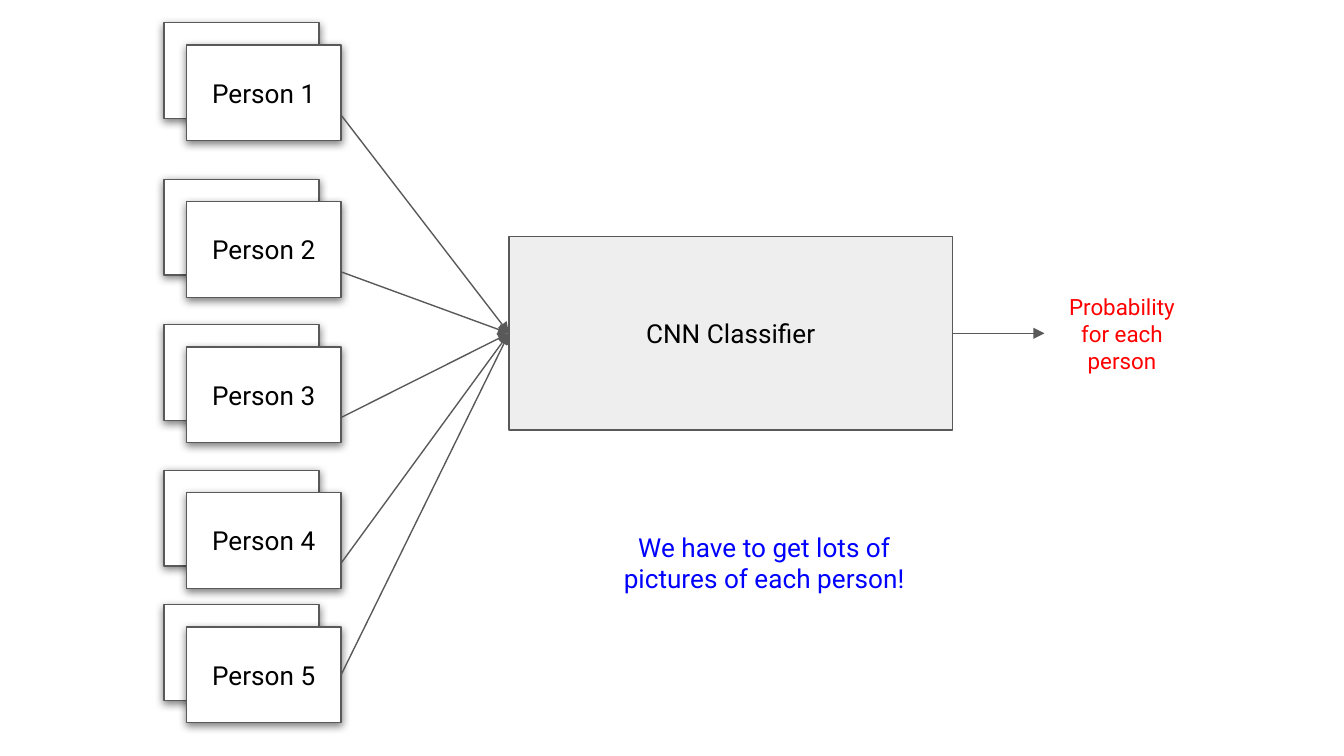
import pptx
import pptx.dml.color
import pptx.enum.shapes
import pptx.enum.text
import pptx.oxml
import pptx.oxml.ns
import pptx.util
from pptx.util import Cm

RGBColor = pptx.dml.color.RGBColor
BLACK = RGBColor(0x00, 0x00, 0x00)
WHITE = RGBColor(0xFF, 0xFF, 0xFF)
GREY = RGBColor(0x59, 0x59, 0x59)
LIGHT = RGBColor(0xEE, 0xEE, 0xEE)
RED = RGBColor(0xFF, 0x00, 0x00)
BLUE = RGBColor(0x00, 0x00, 0xFF)

SHADOW = (
    f'<a:outerShdw {pptx.oxml.ns.nsdecls("a")} blurRad="57150" dist="19050" '
    'dir="5400000" algn="bl" rotWithShape="0"><a:srgbClr val="000000">'
    '<a:alpha val="50000"/></a:srgbClr></a:outerShdw>'
)
TAIL = f'<a:tailEnd {pptx.oxml.ns.nsdecls("a")} type="triangle"/>'
EFFECTS = f'<a:effectLst {pptx.oxml.ns.nsdecls("a")}/>'


class Diagram:
    """Draws the styled elements of a diagram on one slide."""

    font = "Roboto"
    line_color = GREY
    line_width = pptx.util.Pt(0.75)
    inset = Cm(0.25)

    def __init__(self, slide):
        self.slide = slide

    def set_text(self, sp, text, color, size):
        tf = sp.text_frame
        tf.word_wrap = True
        tf.vertical_anchor = pptx.enum.text.MSO_ANCHOR.MIDDLE
        tf.margin_left = tf.margin_right = self.inset
        tf.margin_top = tf.margin_bottom = self.inset
        p = tf.paragraphs[0]
        p.text = text
        p.alignment = pptx.enum.text.PP_ALIGN.CENTER
        p.font.name = self.font
        p.font.size = pptx.util.Pt(size)
        p.font.color.rgb = color

    def outline(self, sp):
        sp.line.color.rgb = self.line_color
        sp.line.width = self.line_width

    def box(self, x, y, w, h, fill, text="", shadow=False):
        sp = self.slide.shapes.add_shape(
            pptx.enum.shapes.MSO_SHAPE.RECTANGLE, Cm(x), Cm(y), Cm(w), Cm(h))
        sp.fill.solid()
        sp.fill.fore_color.rgb = fill
        self.outline(sp)
        sp.shadow.inherit = False
        if shadow:
            effects = sp._element.spPr.find(pptx.oxml.ns.qn("a:effectLst"))
            effects.append(pptx.oxml.parse_xml(SHADOW))
        if text:
            self.set_text(sp, text, BLACK, 14)

    def label(self, x, y, w, h, text, color, size):
        sp = self.slide.shapes.add_textbox(Cm(x), Cm(y), Cm(w), Cm(h))
        self.set_text(sp, text, color, size)

    def arrow(self, x1, y1, x2, y2):
        sp = self.slide.shapes.add_connector(
            pptx.enum.shapes.MSO_CONNECTOR.STRAIGHT, Cm(x1), Cm(y1), Cm(x2), Cm(y2))
        self.outline(sp)
        props = sp._element.spPr
        props.find(pptx.oxml.ns.qn("a:ln")).append(pptx.oxml.parse_xml(TAIL))
        props.append(pptx.oxml.parse_xml(EFFECTS))


def main():
    prs = pptx.Presentation()
    prs.slide_width, prs.slide_height = Cm(25.4), Cm(14.29)
    diagram = Diagram(prs.slides.add_slide(prs.slide_layouts[6]))

    card_x, card_w, card_h, offset = 3.1, 2.93, 1.81, 0.42
    front_x = card_x + offset
    model_x, model_y, model_w, model_h = 9.62, 4.47, 8.38, 3.66
    middle = model_y + model_h / 2

    diagram.box(model_x, model_y, model_w, model_h, LIGHT, "CNN Classifier")
    stacks = [(0.43, 1.75), (3.39, 1.75), (6.14, 1.75), (8.89, 1.75), (11.43, 1.32)]
    for number, (y, exit_y) in enumerate(stacks, 1):
        diagram.box(card_x, y, card_w, card_h, WHITE, shadow=True)
        diagram.box(front_x, y + offset, card_w, card_h, WHITE,
                    f"Person {number}", shadow=True)
        diagram.arrow(front_x + card_w, y + exit_y, model_x, middle)

    result_x = 19.74
    diagram.arrow(model_x + model_w, middle, result_x, middle)
    diagram.label(result_x, middle - card_h / 2, card_w, card_h,
                  "Probability for each person", RED, 12)
    diagram.label(11.18, 9.32, 6.53, 2.62,
                  "We have to get lots of pictures of each person!", BLUE, 14)
    prs.save("out.pptx")


if __name__ == "__main__":
    main()
